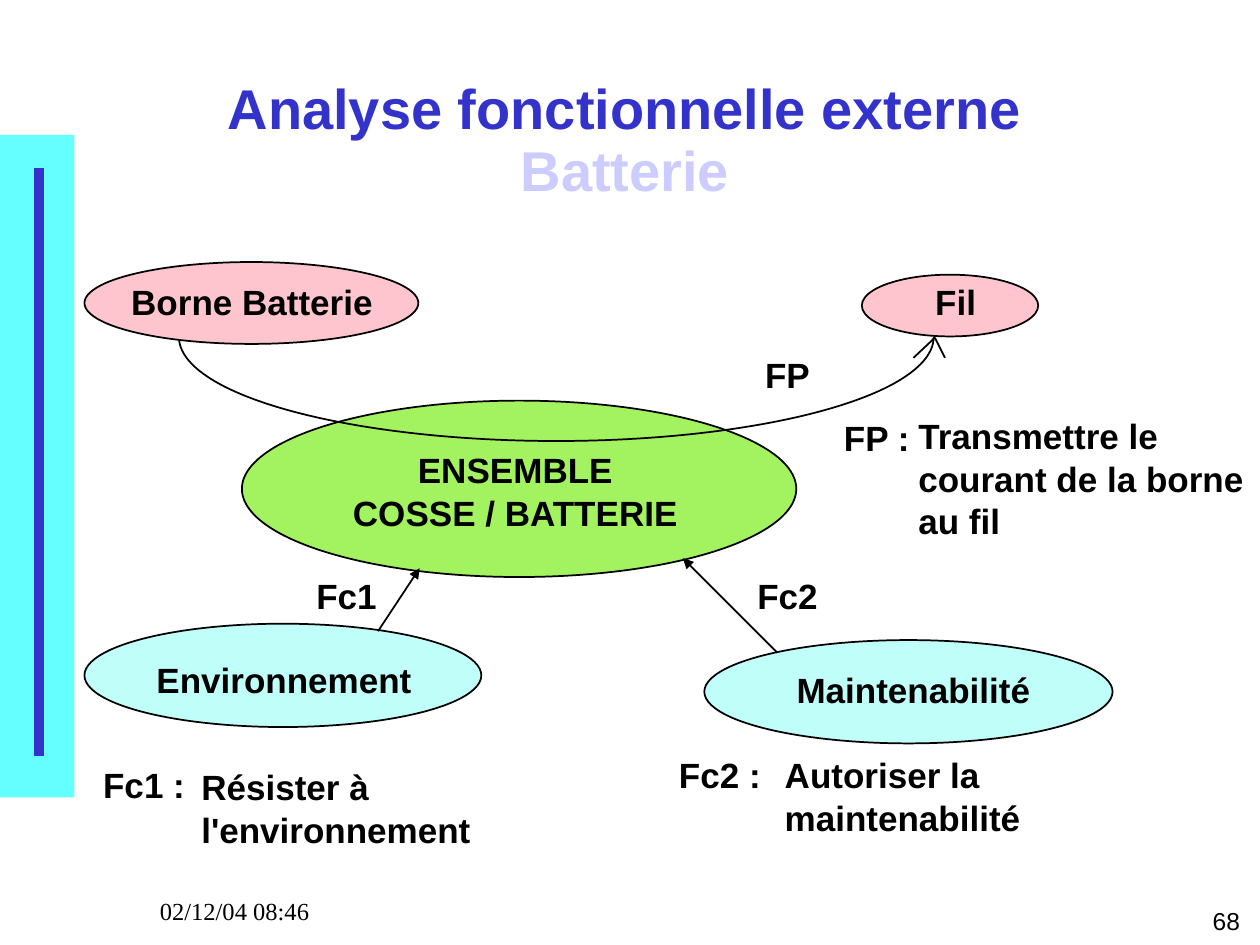
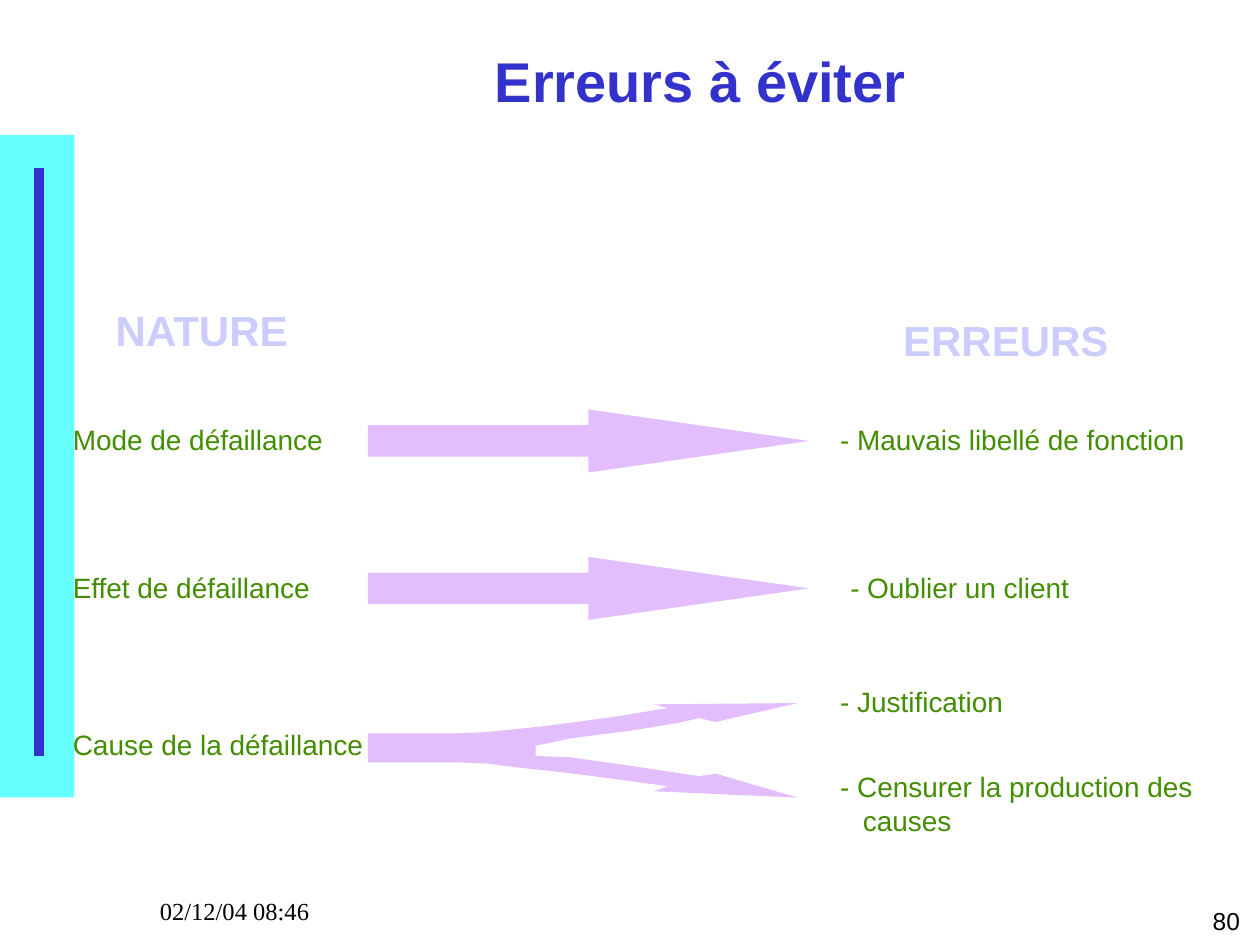
from lxml import etree
from pptx import Presentation
from pptx.dml.color import RGBColor
from pptx.enum.shapes import MSO_CONNECTOR, MSO_SHAPE
from pptx.enum.text import MSO_ANCHOR, MSO_AUTO_SIZE, PP_ALIGN
from pptx.oxml.ns import qn
from pptx.util import Inches, Pt

# The slide is a grid of 10 columns by 7.5 rows of square cells.
CELL = Inches(1)
COLUMNS, ROWS = 10, 7.5

COLORS = {
    "black": "000000",
    "band": "66FFFF",
    "title": "3333CC",
    "subtitle": "CCCCFF",
    "system": "A3F25F",
    "constraint": "C0FEF9",
    "terminal": "FFC5CF",
    "arrow": "E3BEFF",
    "item": "438E00",
}
FORK = [
    (5.19, 5.59), (6.33, 5.58), (5.68, 5.73), (5.55, 5.7), (5.37, 5.74), (5, 5.8),
    (4.53, 5.86), (4.25, 5.92), (4.25, 6), (4.52, 6.01), (4.95, 6.07), (5.55, 6.16),
    (5.68, 6.14), (6.33, 6.33), (5.19, 6.28), (5.3, 6.24), (4.86, 6.18), (4.47, 6.13),
    (4.1, 6.09), (3.87, 6.06), (3.63, 6.05), (2.92, 6.05), (2.92, 5.82), (3.63, 5.82),
    (3.87, 5.81), (4.35, 5.76), (4.87, 5.69), (5.3, 5.62),
]


def cells(*counts):
    """Turn grid counts into lengths."""
    return [round(count * CELL) for count in counts]


def rgb(name):
    return RGBColor.from_string(COLORS[name])


def style_font(font, size, color, bold=False, name="Arial"):
    font.name, font.size, font.bold = name, Pt(size), bold
    font.color.rgb = rgb(color)


def add_text(page, lines, left, top, width, size=20, color="black", bold=False,
             align=PP_ALIGN.LEFT, font="Arial", hang=0, framed=True):
    """Add one paragraph per line, in a clear rounded frame or a plain text box.

    The later lines are indented by hang.
    """
    lines = lines.split("\n")
    height = 0.1 + (len(lines) - 0.07) * size * 1.21 / 72
    if framed:
        box = add_figure(page, MSO_SHAPE.ROUNDED_RECTANGLE, left, top, width, height,
                         adjust=(0,))
    else:
        box = page.shapes.add_textbox(*cells(left, top, width, height))
    frame = box.text_frame
    frame.word_wrap = not framed
    frame.auto_size = MSO_AUTO_SIZE.SHAPE_TO_FIT_TEXT
    frame.vertical_anchor = MSO_ANCHOR.TOP
    for index, line in enumerate(lines):
        para = frame.paragraphs[0] if index == 0 else frame.add_paragraph()
        para.alignment = align
        para.line_spacing = 1.0 if index else 0.93
        if index and hang:
            para._p.get_or_add_pPr().set("marL", str(Inches(hang)))
        span = para.add_run()
        span.text = line
        style_font(span.font, size, color, bold, font)


def add_label(page, lines, left, top, width, **style):
    add_text(page, lines, left, top, width, bold=True, **style)


def paint(shape, fill, line=None):
    shape.shadow.inherit = False
    if fill:
        shape.fill.solid()
        shape.fill.fore_color.rgb = rgb(fill)
    else:
        shape.fill.background()
    if line:
        shape.line.color.rgb = rgb(line)
        shape.line.width = Pt(1)
    else:
        shape.line.fill.background()


def add_figure(page, kind, left, top, width, height, fill=None, line=None, adjust=()):
    shape = page.shapes.add_shape(kind, *cells(left, top, width, height))
    for index, value in enumerate(adjust):
        shape.adjustments[index] = value
    paint(shape, fill, line)
    return shape


def add_ellipse(page, fill, left, top, width, height):
    add_figure(page, MSO_SHAPE.OVAL, left, top, width, height, fill, "black")


def add_line(page, start, end, color="black", weight=1, head=False):
    line = page.shapes.add_connector(MSO_CONNECTOR.STRAIGHT, *cells(*start, *end))
    line.line.color.rgb = rgb(color)
    line.line.width = Pt(weight)
    if head:
        outline = line.line._get_or_add_ln()
        etree.SubElement(outline, qn("a:headEnd"), type="triangle")
    etree.SubElement(line._element.spPr, qn("a:effectLst"))


def add_outline(page, points, fill):
    corners = [tuple(cells(*point)) for point in points]
    builder = page.shapes.build_freeform(*corners[0])
    builder.add_line_segments(corners[1:], close=True)
    paint(builder.convert_to_shape(), fill)


def add_page(deck, number, title, left, top, width, height):
    """Add a slide with the side band, footers and title; title lines pair with colours."""
    page = deck.slides.add_slide(deck.slide_layouts[5])
    add_figure(page, MSO_SHAPE.RECTANGLE, 0, 1.07, 0.59, 5.26, "band")
    add_line(page, (0.31, 1.33), (0.31, 6), "title", 6)
    add_text(page, str(number), 7.86, 7.16, 2.08, size=14, align=PP_ALIGN.RIGHT,
             framed=False)
    add_text(page, "02/12/04 08:46", 1.17, 7.08, 2.08, size=14, font="Times New Roman",
             framed=False)

    box = page.shapes.title
    box.left, box.top, box.width, box.height = cells(left, top, width, height)
    frame = box.text_frame
    frame.auto_size = MSO_AUTO_SIZE.NONE
    frame.vertical_anchor = MSO_ANCHOR.MIDDLE
    para = frame.paragraphs[0]
    para.alignment, para.line_spacing = PP_ALIGN.CENTER, 0.93
    style_font(para.font, 32, "title", True)
    for index, (line, color) in enumerate(zip(title.split("\n"), ("title", "subtitle"))):
        if index:
            para.add_line_break()
        span = para.add_run()
        span.text = line
        style_font(span.font, 32, color, True)
    return page


def add_functional_analysis(deck):
    page = add_page(deck, 68, "Analyse fonctionnelle externe\nBatterie",
                    0.42, 0.56, 9.08, 1.13)
    add_ellipse(page, "system", 1.92, 3.18, 4.4, 1.4)
    add_ellipse(page, "constraint", 0.67, 4.95, 3.15, 0.82)
    add_ellipse(page, "constraint", 5.59, 5.08, 3.24, 0.82)
    # Lower half of an ellipse, from 0 to 180 degrees
    add_figure(page, MSO_SHAPE.ARC, 1.42, 1.85, 5.99, 1.65, line="black", adjust=(0, 108))
    add_ellipse(page, "terminal", 0.67, 2.08, 2.65, 0.65)
    add_ellipse(page, "terminal", 6.84, 2.18, 1.4, 0.49)

    for barb in ((7.25, 2.84), (7.5, 2.84)):
        add_line(page, (7.42, 2.68), barb)
    add_line(page, (3.33, 4.51), (3, 5.01), head=True)
    add_line(page, (5.42, 4.43), (6.17, 5.18), head=True)

    for label, left, top, width in (
        ("ENSEMBLE\nCOSSE / BATTERIE", 2.69, 3.54, 2.8),
        ("Environnement", 1.14, 5.21, 2.23),
        ("Maintenabilité", 6.22, 5.29, 2.06),
        ("Borne Batterie", 0.94, 2.21, 2.12),
        ("Fil", 7.32, 2.21, 0.53),
        ("FP", 5.97, 2.79, 0.56),
        ("Fc1", 2.41, 4.54, 0.68),
        ("Fc2", 5.91, 4.54, 0.68),
    ):
        add_label(page, label, left, top, width, align=PP_ALIGN.CENTER)
    for label, left, top, width in (
        ("FP :", 6.6, 3.29, 0.73),
        ("Transmettre le\ncourant de la borne\nau fil", 7.19, 3.27, 2.79),
        ("Résister à\nl'environnement", 1.5, 6.06, 2.34),
        ("Fc2 :", 5.29, 5.96, 0.85),
        ("Autoriser la\nmaintenabilité", 6.13, 5.96, 2.07),
    ):
        add_label(page, label, left, top, width)
    add_label(page, "Fc1 :", 0.72, 6.04, 0.88, framed=False)


def add_errors(deck):
    page = add_page(deck, 80, "Erreurs à éviter", 1.31, 0.33, 8.5, 0.67)
    add_label(page, "NATURE", 0.82, 2.4, 1.59, size=24, color="subtitle")
    add_label(page, "ERREURS", 7.07, 2.48, 1.83, size=24, color="subtitle")
    for top in (3.25, 4.42):
        add_figure(page, MSO_SHAPE.RIGHT_ARROW, 2.92, top, 3.5, 0.5, "arrow",
                   adjust=(0.5, 3.5))
    add_outline(page, FORK, "arrow")
    for item, left, top, width in (
        ("Mode de défaillance", 0.48, 3.33, 2.19),
        ("Effet de défaillance", 0.48, 4.5, 2.09),
        ("Cause de la défaillance", 0.48, 5.75, 2.51),
        ("- Mauvais libellé de fonction", 6.57, 3.33, 2.94),
        ("- Oublier un client", 6.65, 4.5, 1.94),
        ("- Justification", 6.57, 5.41, 1.5),
        ("- Censurer la production des\ncauses", 6.57, 6.08, 3.06),
    ):
        add_text(page, item, left, top, width, size=16, color="item", hang=0.18)


def main():
    deck = Presentation()
    deck.slide_width, deck.slide_height = cells(COLUMNS, ROWS)
    add_functional_analysis(deck)
    add_errors(deck)
    deck.save("out.pptx")


if __name__ == "__main__":
    main()
